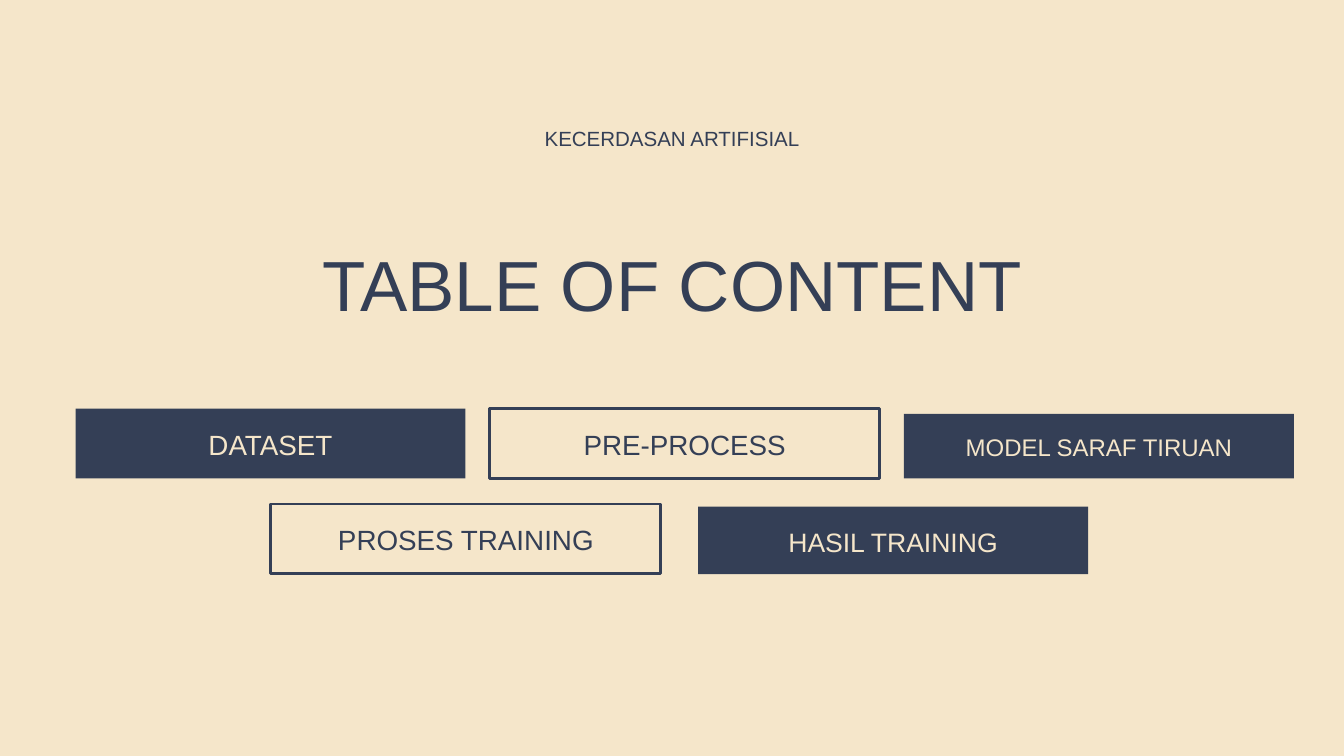
from dataclasses import dataclass

import pptx
import pptx.dml.color
import pptx.enum.shapes
import pptx.enum.text
import pptx.util

Pt = pptx.util.Pt
CREAM = pptx.dml.color.RGBColor(0xF5, 0xE6, 0xCA)
NAVY = pptx.dml.color.RGBColor(0x34, 0x3F, 0x56)
FONT = "Arial"

SLIDE_WIDTH, SLIDE_HEIGHT = 1440, 810
BUTTON_WIDTH = 417.8
LABEL_OFFSET = 14.5
BORDER = 3
LINE_RATIO = 1.4  # line spacing relative to the text size


@dataclass(frozen=True)
class Button:
    label: str
    left: float
    top: float
    height: float
    label_width: float
    size: float
    filled: bool


BUTTONS = [
    # First row
    Button("DATASET", 80.9, 437.8, 74.9, 270.7, 29.8, True),
    Button("PRE-PROCESS", 524.7, 437.8, 74.9, 331.2, 29.8, False),
    Button("MODEL SARAF TIRUAN", 968.4, 443.5, 69.1, 331.2, 25.7, True),
    # Second row
    Button("PROSES TRAINING", 290.2, 540, 74.9, BUTTON_WIDTH, 29.8, False),
    Button("HASIL TRAINING", 748, 542.9, 72.4, 270.7, 28.5, True),
]


def add_text(page, text: str, center: float, top: float, width: float,
             height: float, size: float, color) -> None:
    """Add one centred line of text around a horizontal centre."""
    box = page.shapes.add_textbox(Pt(center - width / 2), Pt(top),
                                  Pt(width), Pt(height))
    frame = box.text_frame
    frame.margin_left = frame.margin_right = 0
    frame.margin_top = frame.margin_bottom = 0
    frame.word_wrap = True
    frame.text = text
    para = frame.paragraphs[0]
    para.alignment = pptx.enum.text.PP_ALIGN.CENTER
    para.line_spacing = Pt(round(size * LINE_RATIO, 1))
    span = para.runs[0]
    span.font.name = FONT
    span.font.size = Pt(size)
    span.font.color.rgb = color


def add_button(page, button: Button) -> None:
    """Add a filled or outlined rectangle with its label."""
    box = page.shapes.add_shape(
        pptx.enum.shapes.MSO_SHAPE.RECTANGLE, Pt(button.left), Pt(button.top),
        Pt(BUTTON_WIDTH), Pt(button.height))
    box.shadow.inherit = False
    if button.filled:
        box.fill.solid()
        box.fill.fore_color.rgb = NAVY
        box.line.fill.background()
    else:
        box.fill.background()
        box.line.color.rgb = NAVY
        box.line.width = Pt(BORDER)
    add_text(page, button.label, button.left + BUTTON_WIDTH / 2,
             button.top + LABEL_OFFSET, button.label_width,
             button.size * 1.35, button.size, CREAM if button.filled else NAVY)


def main() -> None:
    deck = pptx.Presentation()
    deck.slide_width, deck.slide_height = Pt(SLIDE_WIDTH), Pt(SLIDE_HEIGHT)
    page = deck.slides.add_slide(deck.slide_layouts[6])
    page.background.fill.solid()
    page.background.fill.fore_color.rgb = CREAM

    # Contents
    for button in BUTTONS:
        add_button(page, button)

    # Headings
    middle = SLIDE_WIDTH / 2
    add_text(page, "TABLE OF CONTENT", middle, 242.6, 828.7, 105.8, 76, NAVY)
    add_text(page, "KECERDASAN ARTIFISIAL", middle, 130.3, 338.4, 31, 22, NAVY)

    deck.save("out.pptx")


if __name__ == "__main__":
    main()
